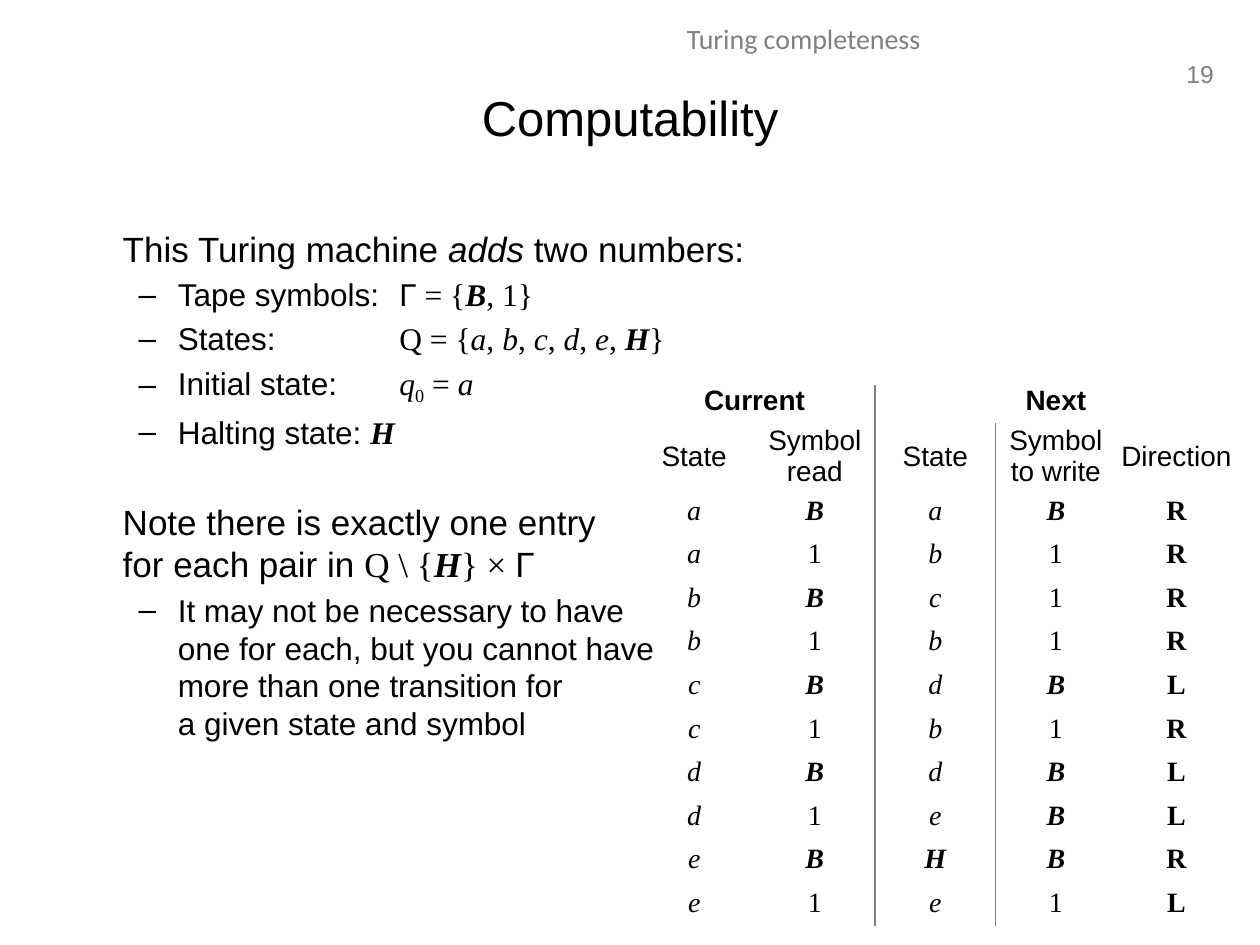
"""Build the Computability slide: a Turing machine that adds two numbers."""
from lxml import etree
from pptx import Presentation
from pptx.dml.color import RGBColor
from pptx.enum.text import MSO_ANCHOR, MSO_AUTO_SIZE, PP_ALIGN
from pptx.oxml.ns import qn
from pptx.util import Cm, Pt

CENTER, RIGHT = PP_ALIGN.CENTER, PP_ALIGN.RIGHT
TOP, MIDDLE = MSO_ANCHOR.TOP, MSO_ANCHOR.MIDDLE
NO_AUTOFIT = MSO_AUTO_SIZE.NONE
BLACK = RGBColor(0x00, 0x00, 0x00)
GRAY = RGBColor(0x80, 0x80, 0x80)
SANS, SERIF, HEADER_FONT = "Arial", "Times New Roman", "Calibri"
NO_STYLE_TABLE = "{2D5ABB26-0587-4C30-8999-92F81FD0307C}"

TEXT = {"name": SANS}
TEXT_ITALIC = {"name": SANS, "italic": True}
MATH = {"name": SERIF}
VARIABLE = {"name": SERIF, "italic": True}
SYMBOL = {"name": SERIF, "bold": True, "italic": True}
DIRECTION = {"name": SERIF, "bold": True}
HEADING = {"name": SANS, "bold": True}

TITLE = "Computability"
SECTION = "Turing completeness"
PAGE_NUMBER = "19"

STATE_SET = [("Q = {", MATH)]
for state in "abcde":
    STATE_SET += [(state, VARIABLE), (", ", MATH)]
STATE_SET += [("H", SYMBOL), ("}", MATH)]

BODY = [
    (0, 0, [("This Turing machine ", TEXT), ("adds", TEXT_ITALIC), (" two numbers:", TEXT)]),
    (1, 3.6, [("Tape symbols:\t Γ", TEXT), (" = {", MATH), ("B", SYMBOL), (", 1}", MATH)]),
    (1, 3.6, [("States:\t\t ", TEXT)] + STATE_SET),
    (1, 3.6, [("Initial state:\t ", TEXT), ("q", VARIABLE), ("0", {**MATH, "subscript": True}),
              (" = ", MATH), ("a", VARIABLE)]),
    (1, 3.6, [("Halting state: ", TEXT), ("H", SYMBOL)]),
    (0, 28.5, [("Note there is exactly one entry\nfor each pair in ", TEXT), ("Q \\ {", MATH),
               ("H", SYMBOL), ("} × ", MATH), ("Γ", TEXT)]),
    (1, 3.6, [("It may not be necessary to have\none for each, but you cannot have\n"
               "more than one transition for\na given state and symbol", TEXT)]),
]
BODY_SIZES = (20, 18)
BODY_INDENTS = ((Cm(0.95), 0), (Cm(2.06), -Cm(0.79)))

GROUPS = [("Current", 0, 1), ("Next", 2, 4)]
COLUMNS = ["State", "Symbol read", "State", "Symbol to write", "Direction"]
TRANSITIONS = ["aBaBR", "a1b1R", "bBc1R", "b1b1R", "cBdBL",
               "c1b1R", "dBdBL", "d1eBL", "eBHBR", "e1e1L"]
CELL_STYLES = {"1": MATH, "B": SYMBOL, "H": SYMBOL, "R": DIRECTION, "L": DIRECTION}
COLUMN_WIDTH, HEADER_HEIGHT, ROW_HEIGHT = Cm(2.43), Cm(0.76), Cm(0.84)
DIVIDER_COLUMN = 2


def format_run(run, size, color, name, bold=False, italic=False, subscript=False):
    font = run.font
    font.size, font.name, font.bold, font.italic = Pt(size), name, bold, italic
    font.color.rgb = color
    if subscript:
        run._r.get_or_add_rPr().set("baseline", "-25000")


def write_line(frame, text, size, color, style, align):
    frame.text = text
    paragraph = frame.paragraphs[0]
    paragraph.alignment = align
    format_run(paragraph.runs[0], size, color, **style)


def place(shape, left, top, width, height):
    shape.left, shape.top = Cm(left), Cm(top)
    shape.width, shape.height = Cm(width), Cm(height)


def add_label(slide, box, text, size, font_name, align, wrap):
    label = slide.shapes.add_textbox(*(Cm(length) for length in box))
    label.text_frame.word_wrap = wrap
    write_line(label.text_frame, text, size, GRAY, {"name": font_name}, align)


def set_indent_and_bullet(paragraph, level):
    properties = paragraph._p.get_or_add_pPr()
    margin, indent = BODY_INDENTS[level]
    properties.set("marL", str(margin))
    properties.set("indent", str(indent))
    if level:
        etree.SubElement(properties, qn("a:buFont"), typeface=SANS)
        etree.SubElement(properties, qn("a:buChar"), char="–")
    else:
        etree.SubElement(properties, qn("a:buNone"))


def write_body(frame):
    frame.auto_size = NO_AUTOFIT
    for index, (level, space, pieces) in enumerate(BODY):
        paragraph = frame.add_paragraph() if index else frame.paragraphs[0]
        set_indent_and_bullet(paragraph, level)
        paragraph.level = level
        paragraph.space_before = Pt(space)
        size = BODY_SIZES[level]
        for piece, style in pieces:
            for line_index, line in enumerate(piece.split("\n")):
                if line_index:
                    paragraph.add_line_break()
                run = paragraph.add_run()
                run.text = line
                format_run(run, size, BLACK, **style)
        for line_break in paragraph._p.findall(qn("a:br")):
            etree.SubElement(line_break, qn("a:rPr"), sz=str(size * 100))


def add_divider(cell, side):
    border = etree.Element(qn(side), w=str(Pt(1)))
    fill = etree.SubElement(border, qn("a:solidFill"))
    etree.SubElement(fill, qn("a:srgbClr"), val=str(GRAY))
    cell._tc.get_or_add_tcPr().insert(0, border)


def fill_cell(cell, text, style, anchor, margin):
    cell.margin_left = cell.margin_right = cell.margin_top = cell.margin_bottom = margin
    cell.vertical_anchor = anchor
    write_line(cell.text_frame, text, 16, BLACK, style, CENTER)


def add_transition_table(slide):
    row_count = len(TRANSITIONS) + 2
    height = 2 * HEADER_HEIGHT + len(TRANSITIONS) * ROW_HEIGHT
    table = slide.shapes.add_table(row_count, len(COLUMNS), Cm(12.78), Cm(7.77),
                                   len(COLUMNS) * COLUMN_WIDTH, height).table
    table.first_row = table.horz_banding = False
    table._tbl.tblPr.find(qn("a:tableStyleId")).text = NO_STYLE_TABLE
    for column in table.columns:
        column.width = COLUMN_WIDTH
    for index, row in enumerate(table.rows):
        row.height = HEADER_HEIGHT if index < 2 else ROW_HEIGHT
        for cell in row.cells:
            cell.fill.background()
        add_divider(row.cells[DIVIDER_COLUMN - 1], "a:lnR")
        add_divider(row.cells[DIVIDER_COLUMN], "a:lnL")
    for heading, first, last in GROUPS:
        table.cell(0, first).merge(table.cell(0, last))
        fill_cell(table.cell(0, first), heading, HEADING, TOP, 0)
    for index, heading in enumerate(COLUMNS):
        fill_cell(table.cell(1, index), heading, TEXT, MIDDLE, 0)
    for row_index, transition in enumerate(TRANSITIONS, start=2):
        for index, entry in enumerate(transition):
            style = CELL_STYLES.get(entry, VARIABLE)
            fill_cell(table.cell(row_index, index), entry, style, TOP, Cm(0.1))


def main():
    presentation = Presentation()
    presentation.slide_width, presentation.slide_height = Cm(25.4), Cm(19.05)
    slide = presentation.slides.add_slide(presentation.slide_layouts[1])
    title, body = slide.placeholders
    place(title, 1.27, 0.76, 22.86, 3.18)
    title.text_frame.vertical_anchor = MIDDLE
    write_line(title.text_frame, TITLE, 28, BLACK, TEXT, CENTER)
    place(body, 1.27, 4.45, 22.86, 12.57)
    write_body(body.text_frame)
    add_label(slide, (23.6, 1.07, 1.12, 0.84), PAGE_NUMBER, 14, SANS, RIGHT, False)
    add_label(slide, (8.1, 0.3, 16.21, 1.02), SECTION, 16, HEADER_FONT, CENTER, True)
    add_transition_table(slide)
    presentation.save("out.pptx")


if __name__ == "__main__":
    main()
